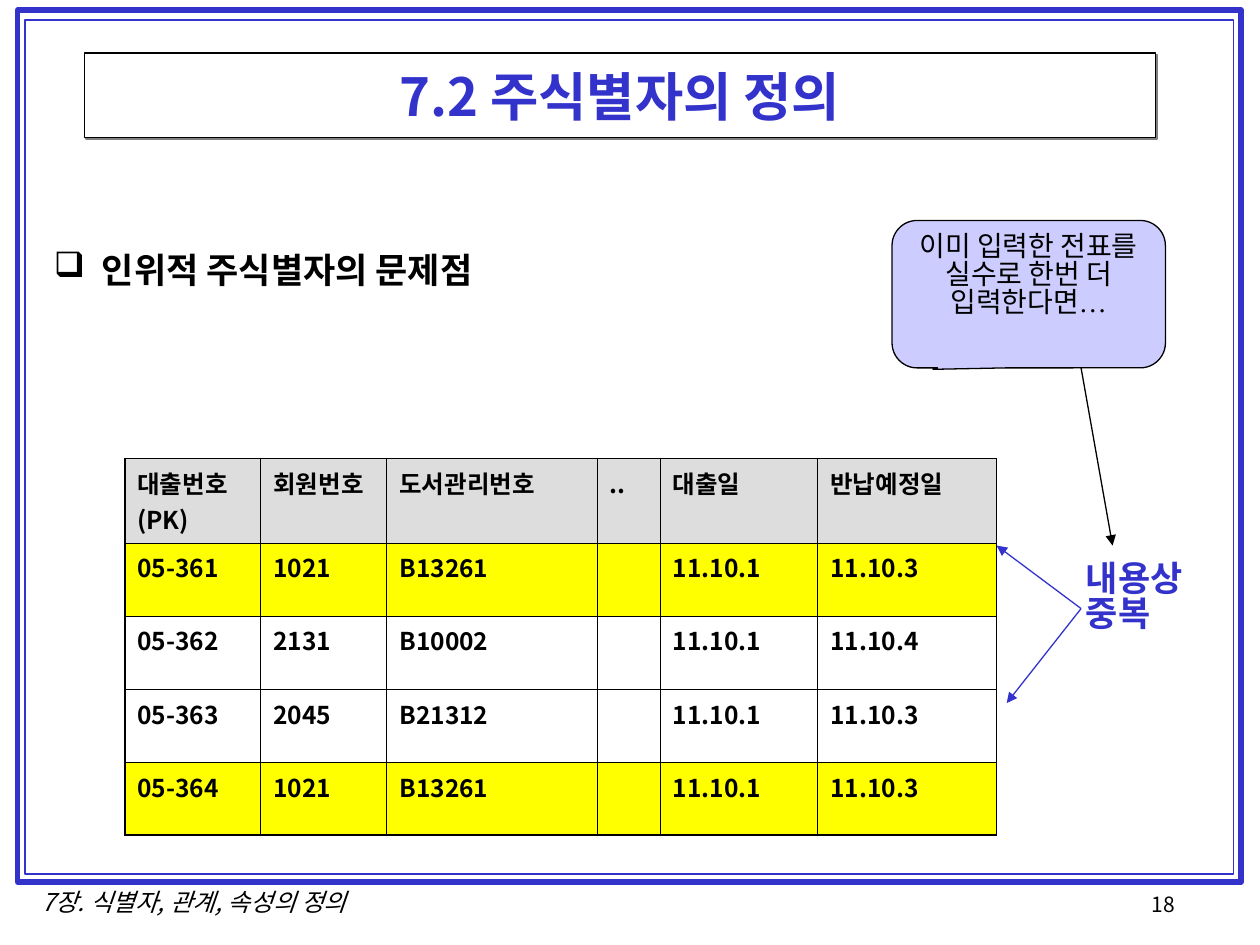
import pptx
import pptx.util
import pptx.dml.color
import pptx.enum.shapes
import pptx.enum.text
import pptx.oxml
import pptx.oxml.ns

Inches, Pt = pptx.util.Inches, pptx.util.Pt
RGBColor = pptx.dml.color.RGBColor
MSO_SHAPE = pptx.enum.shapes.MSO_SHAPE
ALIGN = pptx.enum.text.PP_ALIGN
ANCHOR = pptx.enum.text.MSO_ANCHOR
qn = pptx.oxml.ns.qn

BLACK = RGBColor(0x00, 0x00, 0x00)
WHITE = RGBColor(0xFF, 0xFF, 0xFF)
BLUE = RGBColor(0x33, 0x33, 0xCC)
LILAC = RGBColor(0xCC, 0xCC, 0xFF)
GRAY = RGBColor(0xDD, 0xDD, 0xDD)
YELLOW = RGBColor(0xFF, 0xFF, 0x00)
FONT = "Noto Sans CJK KR"
SERIF = "Times New Roman"

TITLE = "7.2 주식별자의 정의"
HEADING = "인위적 주식별자의 문제점"
FOOTER = "7장. 식별자, 관계, 속성의 정의"
PAGE = "18"
DUPLICATE = ["내용상", "중복"]
CALLOUT = "이미 입력한 전표를 실수로 한번 더 입력한다면"
FRAMES = [((0.14, 0.08, 9.71, 6.92), 3), ((0.2, 0.16, 9.59, 6.78), 1)]
ROWS = [
    ("대출번호(PK)", "회원번호", "도서관리번호", "..", "대출일", "반납예정일"),
    ("05-361", "1021", "B13261", "", "11.10.1", "11.10.3"),
    ("05-362", "2131", "B10002", "", "11.10.1", "11.10.4"),
    ("05-363", "2045", "B21312", "", "11.10.1", "11.10.3"),
    ("05-364", "1021", "B13261", "", "11.10.1", "11.10.3"),
]
ROW_FILLS = [GRAY, YELLOW, WHITE, WHITE, YELLOW]
COL_WIDTHS = [1.08, 1, 1.67, 0.5, 1.25, 1.42]
HEADER_HEIGHT, ROW_HEIGHT = 0.67, 0.58
ARROWS = [
    ((8.58, 4.83), (7.91, 4.33), BLUE),
    ((8.58, 4.83), (7.99, 5.58), BLUE),
    ((8.58, 2.92), (8.83, 4.33), BLACK),
]


def xml(text):
    ns = 'xmlns:a="http://schemas.openxmlformats.org/drawingml/2006/main"'
    return pptx.oxml.parse_xml(text.replace(">", f" {ns}>", 1)
                               if "/>" not in text.split(">")[0] + ">"
                               else text.replace("/>", f" {ns}/>", 1))


def add_run(p, text, size, color=BLACK, bold=False, italic=False, font=FONT):
    r = p.add_run()
    r.text = text
    r.font.size, r.font.bold, r.font.italic = Pt(size), bold, italic
    r.font.name = font
    r.font.color.rgb = color
    r.font._element.find(qn("a:latin")).addnext(xml(f'<a:ea typeface="{font}"/>'))


def add_text(s, box, lines, size, wrap=False, align=ALIGN.LEFT, spacing=None, **style):
    tf = s.shapes.add_textbox(*map(Inches, box)).text_frame
    tf.word_wrap = wrap
    for i, line in enumerate(lines):
        p = tf.add_paragraph() if i else tf.paragraphs[0]
        p.alignment = align
        p.line_spacing = spacing
        add_run(p, line, size, **style)
    return tf


def add_table(s):
    heights = [HEADER_HEIGHT] + [ROW_HEIGHT] * (len(ROWS) - 1)
    frame = s.shapes.add_table(len(ROWS), len(COL_WIDTHS), Inches(0.99), Inches(3.64),
                               Inches(sum(COL_WIDTHS)), Inches(sum(heights)))
    table = frame.table
    for col, width in zip(table.columns, COL_WIDTHS):
        col.width = Inches(width)
    for i, row in enumerate(ROWS):
        table.rows[i].height = Inches(heights[i])
        for j, text in enumerate(row):
            cell = table.cell(i, j)
            outer = {"L": j == 0, "R": j == len(row) - 1,
                     "T": i == 0, "B": i == len(ROWS) - 1}
            tcPr = cell._tc.get_or_add_tcPr()
            for side, thick in outer.items():
                width = Pt(1.08 if thick else 0.45)
                tcPr.append(xml(f'<a:ln{side} w="{width}"><a:solidFill>'
                                f'<a:srgbClr val="{BLACK}"/></a:solidFill></a:ln{side}>'))
            cell.fill.solid()
            cell.fill.fore_color.rgb = ROW_FILLS[i]
            if text:
                add_run(cell.text_frame.paragraphs[0], text, 14, bold=True)


def main():
    prs = pptx.Presentation()
    prs.slide_width, prs.slide_height = Inches(10), Inches(7.5)
    s = prs.slides.add_slide(prs.slide_layouts[5])

    title = s.shapes.title
    title.left, title.top, title.width, title.height = map(Inches, (0.67, 0.42, 8.5, 0.67))
    title.fill.solid()
    title.fill.fore_color.rgb = WHITE
    title.line.color.rgb = BLACK
    title.line.width = Pt(0.75)
    title._element.spPr.append(xml(
        f'<a:effectLst><a:outerShdw dist="{Pt(1.4)}" dir="2700000">'
        '<a:srgbClr val="808080"/></a:outerShdw></a:effectLst>'))
    title.text_frame.vertical_anchor = ANCHOR.MIDDLE
    p = title.text_frame.paragraphs[0]
    p.alignment = ALIGN.CENTER
    add_run(p, TITLE, 30, BLUE, bold=True)

    for box, width in FRAMES:
        sp = s.shapes.add_shape(MSO_SHAPE.RECTANGLE, *map(Inches, box))
        sp.shadow.inherit = False
        sp.fill.background()
        sp.line.color.rgb = BLUE
        sp.line.width = Pt(width)

    add_text(s, (9.04, 7.03, 1.02, 0.33), [PAGE], 12)
    add_text(s, (0.06, 6.99, 2.96, 0.34), [FOOTER], 14, align=ALIGN.CENTER, italic=True)
    tf = add_text(s, (0.33, 1.92, 9.28, 4.87), [HEADING], 20, wrap=True, bold=True)
    pPr = tf.paragraphs[0]._p.get_or_add_pPr()
    pPr.set("marL", str(Inches(0.38)))
    pPr.set("indent", str(-Inches(0.38)))
    pPr.append(xml(f'<a:buClr><a:srgbClr val="{BLACK}"/></a:buClr>'))
    pPr.append(xml('<a:buChar char="❑"/>'))

    add_table(s)
    add_text(s, (8.52, 4.42, 0.97, 0.77), DUPLICATE, 20, spacing=0.84, color=BLUE, bold=True)

    sp = s.shapes.add_shape(MSO_SHAPE.ROUNDED_RECTANGULAR_CALLOUT,
                            *map(Inches, (7.08, 1.75, 2.17, 1.17)))
    for i, value in enumerate((-0.35, 0.51, 0.17)):
        sp.adjustments[i] = value
    sp.shadow.inherit = False
    sp.fill.solid()
    sp.fill.fore_color.rgb = LILAC
    sp.line.color.rgb = BLACK
    sp.line.width = Pt(0.75)
    tf = sp.text_frame
    tf.word_wrap = True
    tf.vertical_anchor = ANCHOR.TOP
    p = tf.paragraphs[0]
    p.alignment = ALIGN.CENTER
    p.line_spacing = 0.84
    add_run(p, CALLOUT, 16)
    add_run(p, "…", 16, font=SERIF)

    for start, end, color in ARROWS:
        line = s.shapes.add_connector(pptx.enum.shapes.MSO_CONNECTOR.STRAIGHT,
                                      *map(Inches, start + end))
        line.line.color.rgb = color
        line.line.width = Pt(0.75)
        line.line._get_or_add_ln().append(xml('<a:tailEnd type="triangle"/>'))
        line._element.spPr.append(xml("<a:effectLst/>"))

    prs.save("out.pptx")


if __name__ == "__main__":
    main()
